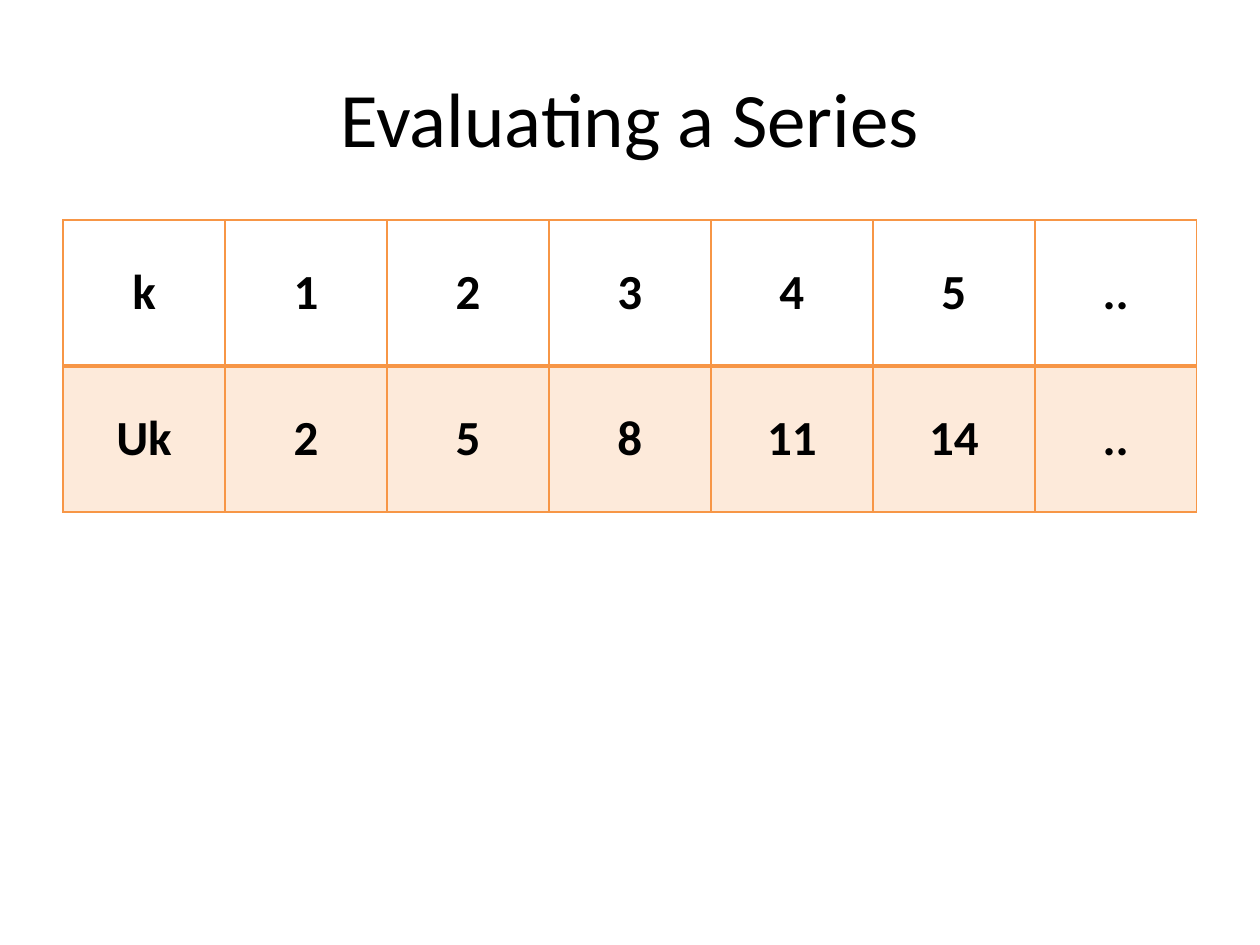
from lxml import etree
from pptx import Presentation
from pptx.dml.color import RGBColor
from pptx.enum.text import MSO_ANCHOR, PP_ALIGN
from pptx.oxml.ns import qn
from pptx.util import Pt

MIDDLE = MSO_ANCHOR.MIDDLE
CENTER = PP_ALIGN.CENTER

PX_PER_INCH = 126
COLORS = {"text": "000000", "accent": "F79646"}
FONT = "Calibri"

SERIES = [
    ["k", "1", "2", "3", "4", "5", ".."],
    ["Uk", "2", "5", "8", "11", "14", ".."],
]
SIDES = ("L", "R", "T", "B")


def px(length):
    return round(length * 914400 / PX_PER_INCH)


def write_text(frame, text, size, bold=False):
    paragraph = frame.paragraphs[0]
    paragraph.alignment = CENTER
    run = paragraph.add_run()
    run.text = text
    run.font.name = FONT
    run.font.size = Pt(size)
    run.font.bold = bold
    run.font.color.rgb = RGBColor.from_string(COLORS["text"])


def add_title(slide, text, left, top, width, height):
    title = slide.shapes.add_textbox(px(left), px(top), px(width), px(height))
    frame = title.text_frame
    frame.word_wrap = True
    frame.vertical_anchor = MIDDLE
    write_text(frame, text, size=44)


def set_border(cell, side, width):
    line = etree.SubElement(cell._tc.get_or_add_tcPr(), qn(f"a:ln{side}"), w=str(Pt(width)))
    fill = etree.SubElement(line, qn("a:solidFill"))
    etree.SubElement(fill, qn("a:srgbClr"), val=COLORS["accent"])


def tint(cell, opacity):
    """Fill the cell with the accent colour at the given percentage of opacity."""
    cell.fill.solid()
    cell.fill.fore_color.rgb = RGBColor.from_string(COLORS["accent"])
    color = cell._tc.tcPr.find(qn("a:solidFill")).find(qn("a:srgbClr"))
    etree.SubElement(color, qn("a:alpha"), val=str(opacity * 1000))


def add_series_table(slide, rows, left, top, width, height):
    table = slide.shapes.add_table(
        len(rows), len(rows[0]), px(left), px(top), px(width), px(height)
    ).table
    table.first_row = False
    table.horz_banding = False
    for row_index, values in enumerate(rows):
        is_header = row_index == 0
        for column_index, value in enumerate(values):
            cell = table.cell(row_index, column_index)
            cell.vertical_anchor = MIDDLE
            write_text(cell.text_frame, value, size=28, bold=True)
            for side in SIDES:
                divides_rows = side == ("B" if is_header else "T")
                set_border(cell, side, width=2 if divides_rows else 1)
            if is_header:
                cell.fill.background()
            else:
                tint(cell, opacity=20)


def main():
    deck = Presentation()
    deck.slide_width = px(1260)
    deck.slide_height = px(945)
    slide = deck.slides.add_slide(deck.slide_layouts[6])
    add_title(slide, "Evaluating a Series", 63, 38, 1134, 157)
    add_series_table(slide, SERIES, 63, 220, 1134, 292)
    deck.save("out.pptx")


if __name__ == "__main__":
    main()
